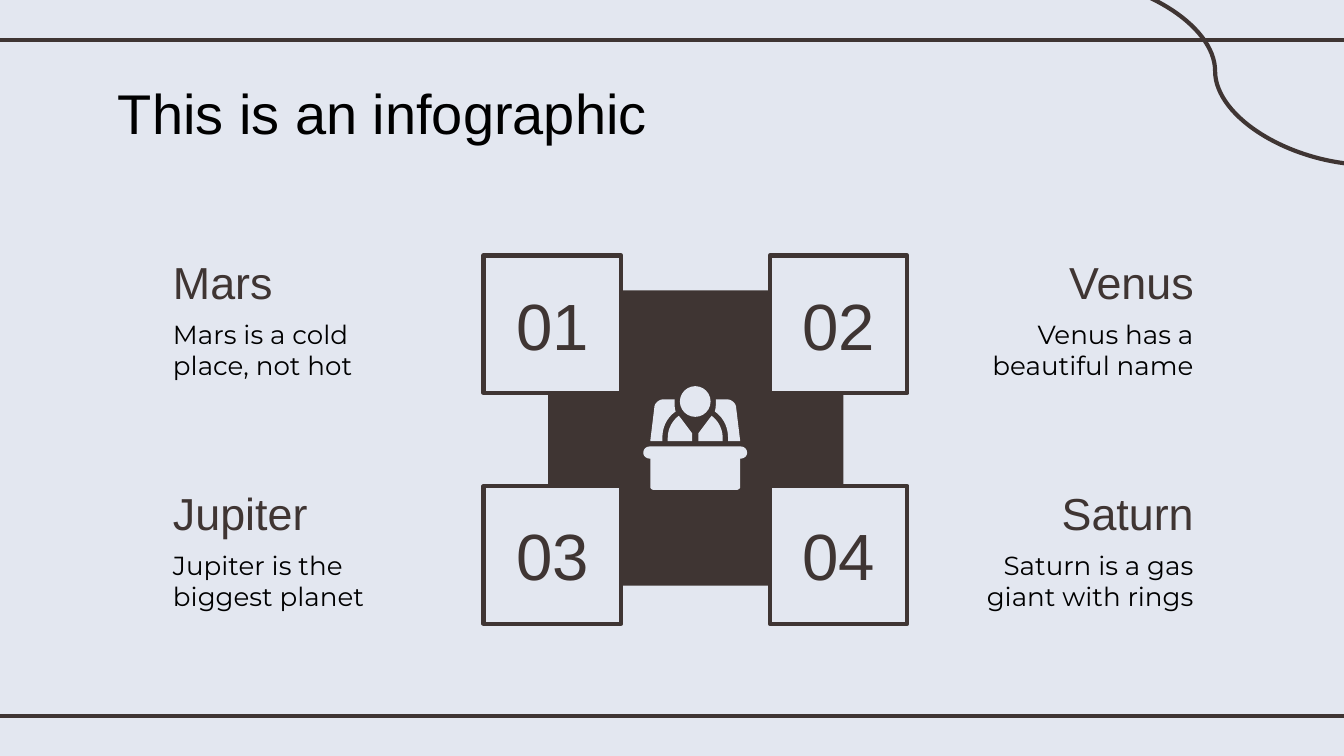
"""Build an infographic slide with four numbered planets around a desk icon."""
from lxml.etree import SubElement
from pptx import Presentation
from pptx.dml.color import RGBColor
from pptx.enum.shapes import MSO_CONNECTOR, MSO_SHAPE
from pptx.enum.text import MSO_ANCHOR, PP_ALIGN
from pptx.oxml.ns import qn
from pptx.util import Cm, Pt

color = RGBColor.from_string
DARK, PALE, BLACK = "3F3533", "E3E7F0", "000000"
TITLE = {"name": "Arial", "size": Pt(30)}
HEADING = {"name": "Arial", "size": Pt(24)}
BODY = {"name": "Montserrat", "size": Pt(14)}
NUMBER = {"name": "Arial", "size": Pt(35)}


def add_text(page, place, text, style, ink, align=PP_ALIGN.LEFT, anchor=MSO_ANCHOR.MIDDLE):
    box = page.shapes.add_textbox(*[Cm(length) for length in place])
    frame = {"word_wrap": True, "vertical_anchor": anchor}
    for side in ("left", "right", "top", "bottom"):
        frame[f"margin_{side}"] = Cm(0.25)
    for name, value in frame.items():
        setattr(box.text_frame, name, value)
    para = box.text_frame.paragraphs[0]
    para.alignment = align
    span = para.add_run()
    span.text = text
    for name, value in style.items():
        setattr(span.font, name, value)
    span.font.color.rgb = color(ink)


def flatten(segments, steps=10):
    points = [segments[0]]
    for segment in segments[1:]:
        if len(segment) == 2:
            points.append(segment)
            continue
        x0, y0 = points[-1]
        x1, y1, x2, y2, x3, y3 = segment
        for step in range(1, steps + 1):
            t = step / steps
            a, b, c, d = (1 - t) ** 3, 3 * t * (1 - t) ** 2, 3 * t * t * (1 - t), t ** 3
            points.append((a * x0 + b * x1 + c * x2 + d * x3,
                           a * y0 + b * y1 + c * y2 + d * y3))
    return points


deck = Presentation()
deck.slide_width, deck.slide_height = Cm(25.4), Cm(14.29)
page = deck.slides.add_slide(deck.slide_layouts[6])
page.background.fill.solid()
page.background.fill.fore_color.rgb = color(PALE)

for kind, *ends in (
    (MSO_CONNECTOR.STRAIGHT, -0.2, 0.76, 25.6, 0.76),
    (MSO_CONNECTOR.STRAIGHT, -0.2, 13.54, 25.6, 13.54),
    (MSO_CONNECTOR.CURVE, 20.02, -0.43, 25.91, 3.12),
):
    rule = page.shapes.add_connector(kind, *[Cm(length) for length in ends])
    rule.line.color.rgb = color(DARK)
    rule.line.width = Pt(2.25)
    SubElement(rule._element.spPr, qn("a:effectLst"))

add_text(page, (1.98, 1.24, 21.44, 1.6), "This is an infographic", TITLE, BLACK,
         anchor=MSO_ANCHOR.TOP)

row_top, row_pitch = 4.83, 4.36
text_left, text_right = 3.02, 22.81
heading_width, body_width = 5.08, 4.62
box_left, box_pitch, box_size = 9.14, 5.41, 2.6
axis, icon_top, head_size = 13.14, 7.3, 0.58

shapes = [(MSO_SHAPE.RECTANGLE, 10.36, 5.49, 5.58, 5.58, DARK, None),
          (MSO_SHAPE.OVAL, axis - head_size / 2, icon_top, head_size, head_size, PALE, None)]
shapes += [(MSO_SHAPE.RECTANGLE, box_left + column * box_pitch, row_top + row * row_pitch,
            box_size, box_size, PALE, DARK) for row in range(2) for column in range(2)]
for kind, left, top, width, height, fill, edge in shapes:
    shape = page.shapes.add_shape(kind, Cm(left), Cm(top), Cm(width), Cm(height))
    shape.shadow.inherit = False
    shape.fill.solid()
    shape.fill.fore_color.rgb = color(fill)
    if edge:
        shape.line.color.rgb = color(edge)
        shape.line.width = Pt(2.25)
    else:
        shape.line.fill.background()

chair = flatten([(-0.6, 0.25), (-0.67, 0.25, -0.75, 0.3, -0.77, 0.38), (-0.85, 1.04),
                 (-0.62, 1.04), (-0.62, 0.97), (-0.62, 0.76, -0.52, 0.58, -0.37, 0.48),
                 (-0.39, 0.41, -0.39, 0.36, -0.39, 0.3), (-0.39, 0.25)])
arm = flatten([(-0.31, 0.56), (-0.44, 0.66, -0.52, 0.81, -0.52, 0.99), (-0.52, 1.04),
               (-0.06, 1.04), (-0.06, 0.89), (-0.27, 0.61)])
half_desk = flatten([(0, 1.14), (-0.85, 1.14), (-0.93, 1.14, -0.98, 1.19, -0.98, 1.26),
                     (-0.98, 1.32, -0.93, 1.37, -0.85, 1.37), (-0.85, 1.91),
                     (-0.85, 1.93, -0.82, 1.96, -0.79, 1.96), (0, 1.96)])
desk = half_desk + [(-x, y) for x, y in reversed(half_desk)]
mirrored = [[(-x, y) for x, y in part] for part in (chair, arm)]
for part in (desk, chair, arm, *mirrored):
    points = [(Cm(axis + x), Cm(icon_top + y)) for x, y in part]
    builder = page.shapes.build_freeform(*points[0])
    builder.add_line_segments(points[1:])
    outline = builder.convert_to_shape()
    outline.shadow.inherit = False
    outline.fill.solid()
    outline.fill.fore_color.rgb = color(PALE)
    outline.line.fill.background()

planets = [("Mars", "Mars is a cold place, not hot"),
           ("Venus", "Venus has a beautiful name"),
           ("Jupiter", "Jupiter is the biggest planet"),
           ("Saturn", "Saturn is a gas giant with rings")]
for index, (planet, fact) in enumerate(planets):
    row, column = divmod(index, 2)
    top = row_top + row * row_pitch
    align = (PP_ALIGN.LEFT, PP_ALIGN.RIGHT)[column]
    heading_left = (text_left, text_right - heading_width)[column]
    body_left = (text_left, text_right - body_width)[column]
    add_text(page, (heading_left, top, heading_width, 0.99), planet, HEADING, DARK, align)
    add_text(page, (body_left, top + 0.94, body_width, 1.98), fact, BODY, BLACK, align,
             MSO_ANCHOR.TOP)
    add_text(page, (box_left + column * box_pitch - 0.11, top + 0.37, 2.82, 1.85),
             f"{index + 1:02}", NUMBER, DARK, PP_ALIGN.CENTER)

deck.save("out.pptx")
